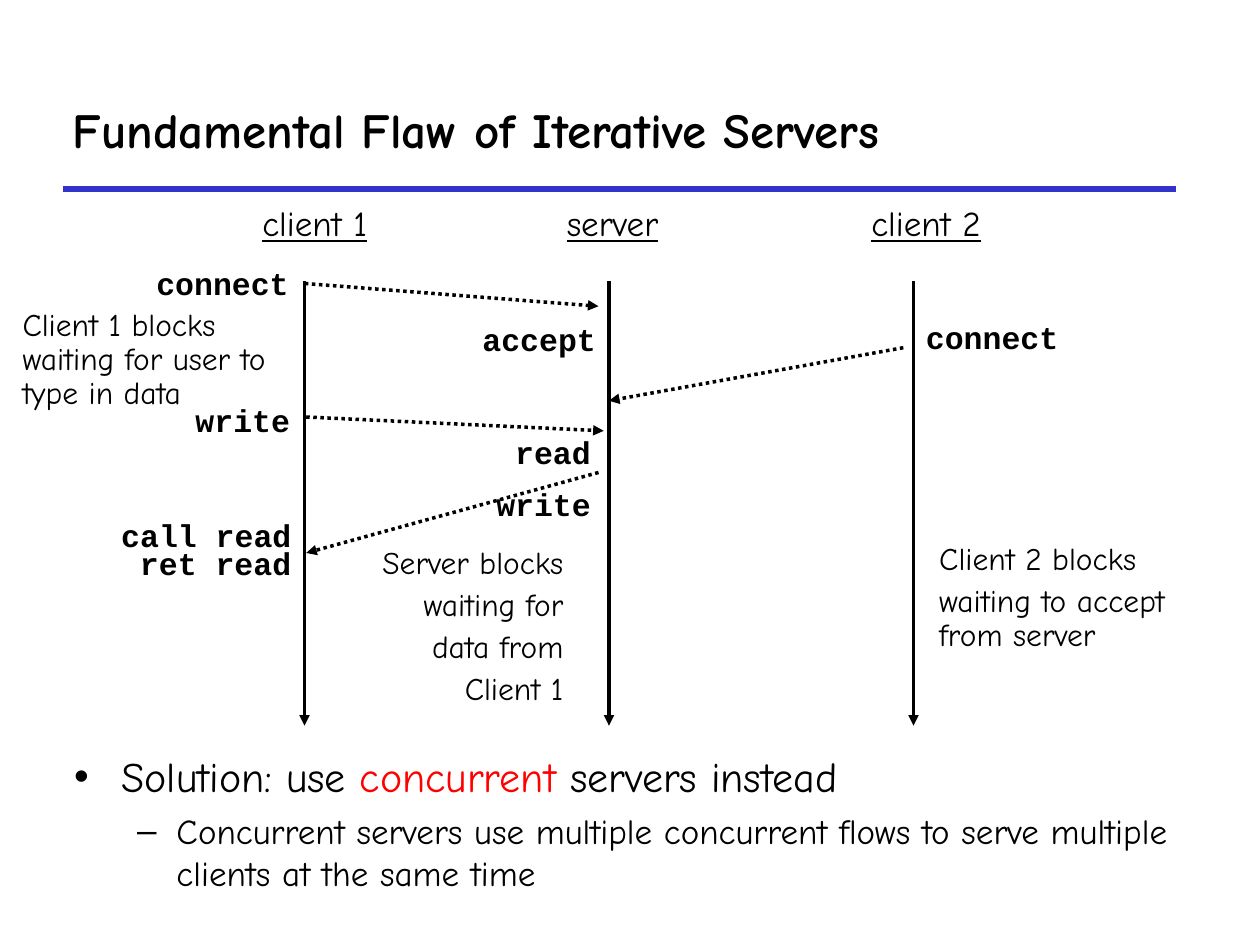
from lxml.etree import SubElement
from pptx import Presentation
from pptx.dml.color import RGBColor
from pptx.enum.dml import MSO_LINE
from pptx.enum.shapes import MSO_CONNECTOR
from pptx.enum.text import MSO_ANCHOR, PP_ALIGN
from pptx.oxml.ns import qn
from pptx.util import Pt

SANS = "Comic Neue"
MONO = "Courier New"
BLACK = "000000"
BLUE = "3333CC"
RED = "FF0000"


def color(code):
    return RGBColor.from_string(code)


class Board:
    def __init__(self, slide):
        self.slide = slide

    def style(self, font, size, name=SANS, bold=False, line=False):
        font.name = name
        font.size = Pt(size)
        font.bold = bold
        font.underline = line
        font.color.rgb = color(BLACK)

    def box(self, left, top, width, height, wrap=False):
        shape = self.slide.shapes.add_textbox(Pt(left), Pt(top), Pt(width), Pt(height))
        frame = shape.text_frame
        frame.word_wrap = wrap
        return frame

    def title(self, text, *place):
        frame = self.box(*place, wrap=True)
        frame.vertical_anchor = MSO_ANCHOR.MIDDLE
        frame.text = text
        self.style(frame.paragraphs[0].runs[0].font, 28, bold=True)

    def label(self, text, *place, size=18, right=False, wrap=False, **look):
        frame = self.box(*place, wrap=wrap)
        frame.text = text
        for i, para in enumerate(frame.paragraphs):
            para.line_spacing = 0.9
            para.space_before = Pt(4.5 if i else 0)
            para.alignment = PP_ALIGN.RIGHT if right else PP_ALIGN.LEFT
            for run in para.runs:
                self.style(run.font, size, **look)

    def code(self, text, left, top, right=False):
        width = 14.4 + 10.8 * len(text)
        self.label(text, left, top, width, 26.6, right=right, name=MONO, bold=True)

    def bullet(self, para, mark, level, left, hang, size, parts):
        para.level = level
        props = para._p.get_or_add_pPr()
        props.set("marL", str(Pt(left)))
        props.set("indent", str(-Pt(hang)))
        tint = SubElement(props, qn("a:buClr"))
        SubElement(tint, qn("a:srgbClr")).set("val", BLACK)
        SubElement(props, qn("a:buFont")).set("typeface", "Arial")
        SubElement(props, qn("a:buChar")).set("char", mark)
        for text, code in parts:
            run = para.add_run()
            run.text = text
            self.style(run.font, size)
            run.font.color.rgb = color(code)

    def line(self, x1, y1, x2, y2, width=2, code=BLACK, dots=False, head=True):
        link = self.slide.shapes.add_connector(
            MSO_CONNECTOR.STRAIGHT, Pt(x1), Pt(y1), Pt(x2), Pt(y2))
        link.line.color.rgb = color(code)
        link.line.width = Pt(width)
        if dots:
            link.line.dash_style = MSO_LINE.ROUND_DOT
        props = link._element.spPr
        if head:
            SubElement(props.find(qn("a:ln")), qn("a:tailEnd")).set("type", "triangle")
        SubElement(props, qn("a:effectLst"))


def main():
    deck = Presentation()
    deck.slide_width = Pt(720)
    deck.slide_height = Pt(540)
    board = Board(deck.slides.add_slide(deck.slide_layouts[6]))

    board.line(36, 108, 672, 108, width=3, code=BLUE, head=False)
    board.title("Fundamental Flaw of Iterative Servers", 34.6, 39, 635, 69)

    body = board.box(35.3, 425.5, 666.7, 90.7, wrap=True)
    board.bullet(body.paragraphs[0], "•", 0, 27, 27, 24, [
        ("Solution: use ", BLACK),
        ("concurrent", RED),
        (" servers instead", BLACK),
    ])
    para = body.add_paragraph()
    para.space_before = Pt(5)
    board.bullet(para, "–", 1, 58.5, 22.5, 20, [
        ("Concurrent servers use multiple concurrent flows to serve "
         "multiple clients at the same time", BLACK),
    ])

    for i, name in enumerate(["client 1", "server", "client 2"]):
        x = 174 + 174 * i
        board.label(name, x - 31.2, 114.2, 84, 28.8, size=20, wrap=True, line=True)
        board.line(x, 160.5, x, 414.7)

    board.label("Client 1 blocks waiting for user to type in data",
                5.8, 173.2, 180, 65.5, wrap=True)
    board.label("Client 2 blocks\nwaiting to accept\vfrom server", 529.6, 306.7, 146, 70.6)
    board.label("Server blocks\nwaiting for\ndata from\nClient 1",
                211, 309.2, 118, 98.6, right=True)

    for ends in [
        (174.2, 162, 342, 175),
        (516.2, 198.7, 348, 229),
        (175, 238.3, 345, 246.2),
        (342, 270, 175, 316),
    ]:
        board.line(*ends, dots=True)

    for text, left, top in [
        ("connect", 82, 150),
        ("write", 104.4, 228.2),
        ("call read", 62, 294),
        ("ret read", 72.7, 309.6),
    ]:
        board.code(text, left, top, right=True)
    for text, left, top in [
        ("accept", 268.6, 181.7),
        ("read", 287.3, 246.2),
        ("write", 276.5, 276.2),
        ("connect", 522, 180.7),
    ]:
        board.code(text, left, top)

    deck.save("out.pptx")


if __name__ == "__main__":
    main()
